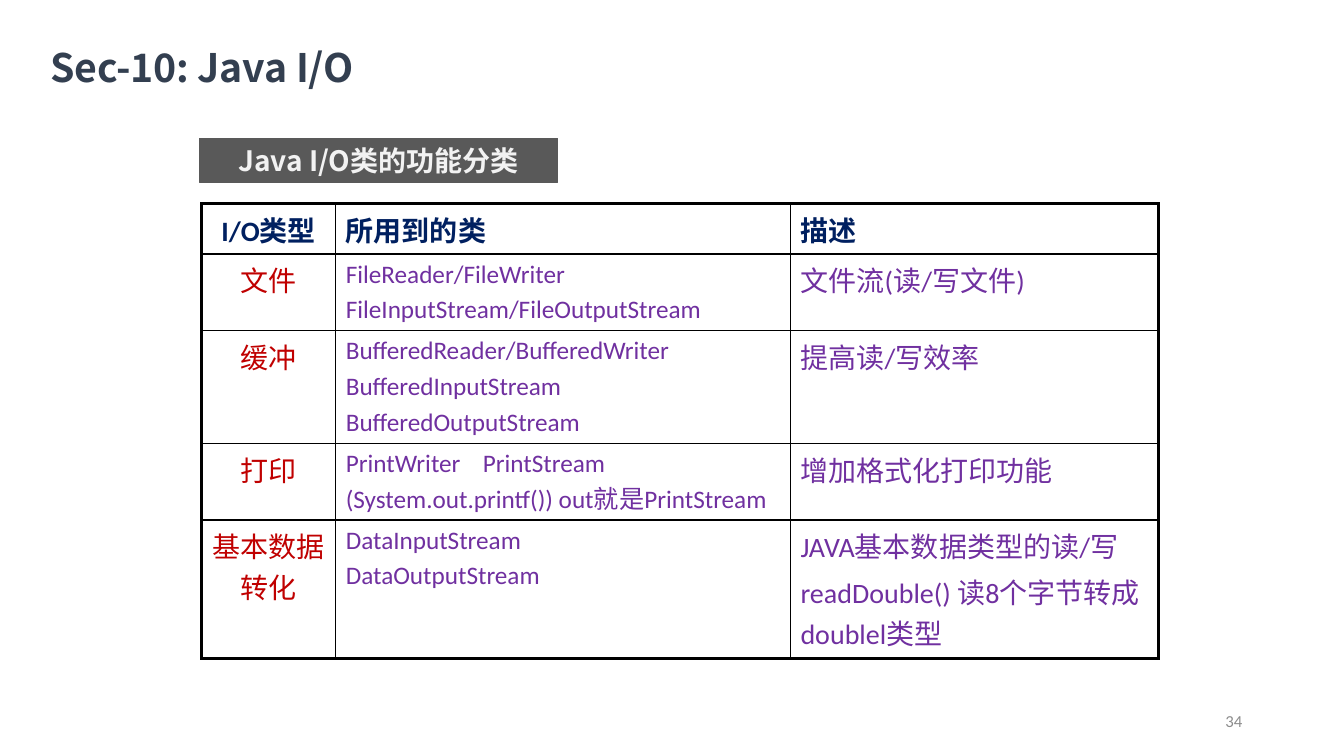
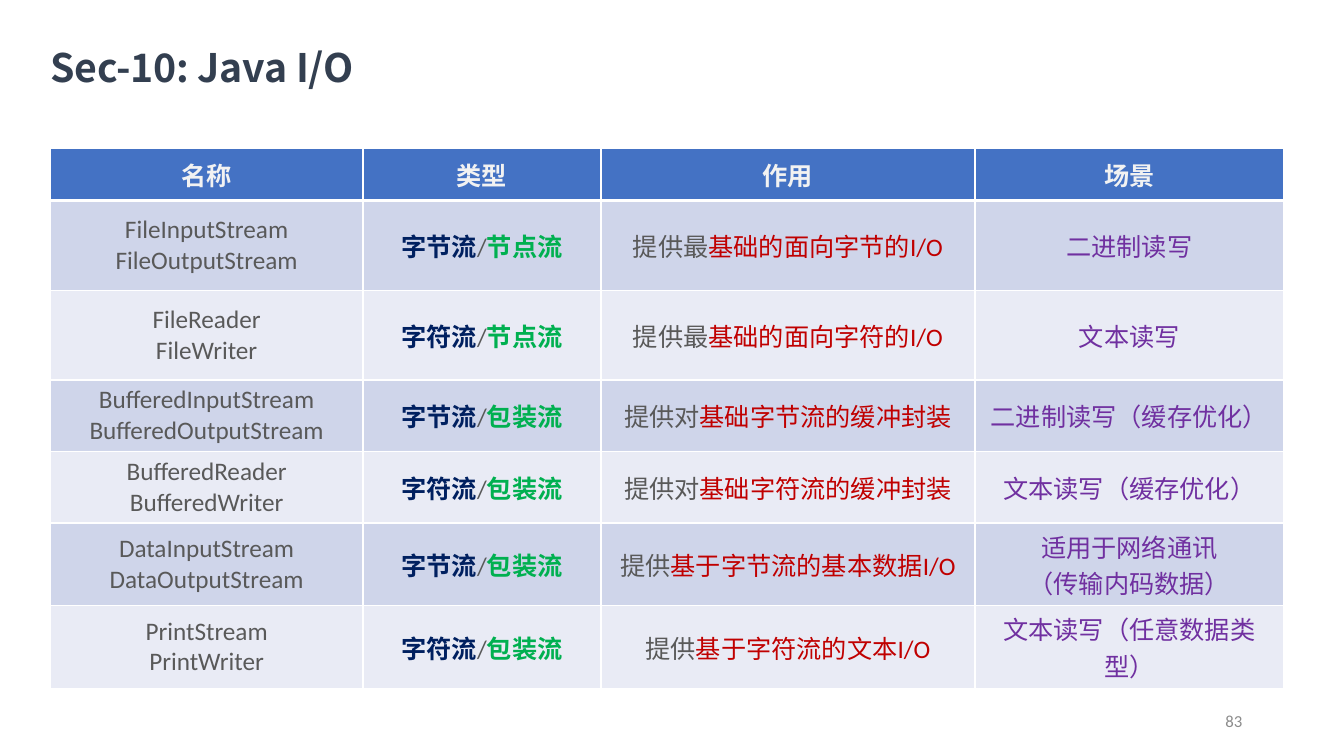
from lxml.etree import SubElement
from pptx import Presentation
from pptx.dml.color import RGBColor
from pptx.enum.shapes import MSO_SHAPE as SHAPE
from pptx.enum.text import MSO_ANCHOR as ANCHOR, MSO_AUTO_SIZE as AUTO, PP_ALIGN as ALIGN
from pptx.oxml.ns import qn
from pptx.util import Inches, Pt

BLACK = RGBColor(0x00, 0x00, 0x00)
WHITE = RGBColor(0xFF, 0xFF, 0xFF)
SLATE = RGBColor(0x33, 0x3F, 0x50)
GRAY = RGBColor(0x59, 0x59, 0x59)
PAGE_GRAY = RGBColor(0x8C, 0x8C, 0x8C)
PALE = RGBColor(0xF2, 0xF2, 0xF2)
NAVY = RGBColor(0x00, 0x20, 0x60)
RED = RGBColor(0xC0, 0x00, 0x00)
PURPLE = RGBColor(0x70, 0x30, 0xA0)
GREEN = RGBColor(0x00, 0xB0, 0x50)
BLUE = RGBColor(0x44, 0x72, 0xC4)
BANDS = (RGBColor(0xE9, 0xEB, 0xF5), RGBColor(0xCF, 0xD5, 0xEA))
BODY, HEADING = "Calibri", "Noto Sans CJK SC"


def add_run(paragraph, text, size, color, bold=False, latin=BODY):
    run = paragraph.add_run()
    run.text = text
    run.font.size, run.font.bold, run.font.name = Pt(size), bold, latin
    run.font.color.rgb = color
    SubElement(run.font._element, qn("a:ea"), typeface=HEADING)
    return run


def format_cell(cell, fill, line, widths):
    """Border widths in points: left, right, top, bottom."""
    props = cell._tc.get_or_add_tcPr()
    for side, width in zip("LRTB", widths):
        border = SubElement(props, qn("a:ln" + side), w=str(Pt(width)))
        SubElement(SubElement(border, qn("a:solidFill")), qn("a:srgbClr"), val=str(line))
    cell.fill.solid()
    cell.fill.fore_color.rgb = fill


prs = Presentation()
prs.slide_width, prs.slide_height = Inches(13.33), Inches(7.5)

# Shared title and page number
slides = []
for page in ("34", "83"):
    slide = prs.slides.add_slide(prs.slide_layouts[5])
    title = slide.shapes.title
    title.left, title.top = Inches(0.5), Inches(0.42)
    title.width, title.height = Inches(6.48), Inches(0.48)
    frame = title.text_frame
    frame.margin_left = frame.margin_right = frame.margin_bottom = 0
    frame.margin_top = Inches(0.01)
    frame.vertical_anchor, frame.auto_size = ANCHOR.TOP, AUTO.NONE
    heading = frame.paragraphs[0]
    heading.alignment = ALIGN.LEFT
    run = add_run(heading, "Sec-10: Java I/O", 28, SLATE, True, HEADING)
    run.font._element.set("spc", "-10")

    number = slide.shapes.add_textbox(Inches(9.42), Inches(6.95), Inches(3), Inches(0.4))
    number.text_frame.word_wrap = True
    number.text_frame.vertical_anchor = ANCHOR.MIDDLE
    number.text_frame.paragraphs[0].alignment = ALIGN.RIGHT
    add_run(number.text_frame.paragraphs[0], page, 12, PAGE_GRAY)
    slides.append(slide)
classes_slide, summary_slide = slides

# Slide 1: banner
banner = classes_slide.shapes.add_shape(
    SHAPE.RECTANGLE, Inches(1.98), Inches(1.37), Inches(3.55), Inches(0.44))
banner.shadow.inherit = False
banner.fill.solid()
banner.fill.fore_color.rgb = GRAY
banner.line.color.rgb = GRAY
banner.line.width = Pt(0.75)
banner.text_frame.word_wrap = True
banner.text_frame.paragraphs[0].alignment = ALIGN.CENTER
add_run(banner.text_frame.paragraphs[0], "Java I/O类的功能分类", 20, PALE, True, HEADING)

# Slide 1: classes by function, each cell a list of paragraphs
class_rows = [
    (["I/O类型"], ["所用到的类"], ["描述"]),
    (["文件"], ["FileReader/FileWriter", "FileInputStream/FileOutputStream"],
     ["文件流(读/写文件)"]),
    (["缓冲"], ["BufferedReader/BufferedWriter", "BufferedInputStream",
              "BufferedOutputStream"], ["提高读/写效率"]),
    (["打印"], ["PrintWriter\tPrintStream (System.out.printf()) out就是PrintStream"],
     ["增加格式化打印功能"]),
    (["基本数据转化"], ["DataInputStream", "DataOutputStream"],
     ["JAVA基本数据类型的读/写", "readDouble() 读8个字节转成doublel类型"]),
]
class_table = classes_slide.shapes.add_table(
    5, 3, Inches(2), Inches(2.02), Inches(9.49), Inches(4.51)).table
class_table.first_row = class_table.horz_banding = False
for column, width in zip(class_table.columns, (1.33, 4.51, 3.65)):
    column.width = Inches(width)
for row, height in zip(class_table.rows, (0.5, 0.76, 1.12, 0.76, 1.37)):
    row.height = Inches(height)

for r, texts in enumerate(class_rows):
    for c, lines in enumerate(texts):
        cell = class_table.cell(r, c)
        outer = (c == 0, c == 2, r == 0, r == 4)
        format_cell(cell, WHITE, BLACK, [2.25 if edge else 1 for edge in outer])
        size = 18 if r and c == 1 else 20
        color = NAVY if r == 0 else RED if c == 0 else PURPLE
        for i, line in enumerate(lines):
            paragraph = cell.text_frame.paragraphs[0] if i == 0 else cell.text_frame.add_paragraph()
            paragraph.alignment = ALIGN.CENTER if c == 0 else ALIGN.LEFT
            if i:
                paragraph.space_before = Pt(size * 0.2)
            if "\t" in line:
                stops = SubElement(paragraph._p.get_or_add_pPr(), qn("a:tabLst"))
                SubElement(stops, qn("a:tab"), pos=str(Inches(1.36)), algn="l")
            add_run(paragraph, line, size, color, bold=r == 0)

# Slide 2: names, unit, layer, plain and stressed role, uses
streams = [
    (["FileInputStream", "FileOutputStream"], "字节流", "节点流",
     "提供最", "基础的面向字节的I/O", ["二进制读写"]),
    (["FileReader", "FileWriter"], "字符流", "节点流",
     "提供最", "基础的面向字符的I/O", ["文本读写"]),
    (["BufferedInputStream", "BufferedOutputStream"], "字节流", "包装流",
     "提供对", "基础字节流的缓冲封装", ["二进制读写（缓存优化）"]),
    (["BufferedReader", "BufferedWriter"], "字符流", "包装流",
     "提供对", "基础字符流的缓冲封装", ["文本读写（缓存优化）"]),
    (["DataInputStream", "DataOutputStream"], "字节流", "包装流",
     "提供", "基于字节流的基本数据I/O", ["适用于网络通讯", "（传输内码数据）"]),
    (["PrintStream", "PrintWriter"], "字符流", "包装流",
     "提供", "基于字符流的文本I/O", ["文本读写（任意数据类型）"]),
]
# Cells hold paragraphs, paragraphs hold (text, colour, bold) runs
summary_rows = [[[[(label, PALE, True)]] for label in ("名称", "类型", "作用", "场景")]]
for names, unit, layer, lead, role, uses in streams:
    summary_rows.append([
        [[(name, GRAY, False)] for name in names],
        [[(unit, NAVY, True), ("/", GRAY, False), (layer, GREEN, True)]],
        [[(lead, GRAY, False), (role, RED, False)]],
        [[(use, PURPLE, False)] for use in uses],
    ])

summary_table = summary_slide.shapes.add_table(
    7, 4, Inches(0.5), Inches(1.47), Inches(12.23), Inches(5.36)).table
for column, width in zip(summary_table.columns, (3.1, 2.36, 3.71, 3.06)):
    column.width = Inches(width)
for row, height in zip(summary_table.rows, (0.52, 0.89, 0.89, 0.71, 0.71, 0.82, 0.82)):
    row.height = Inches(height)

for r, cells in enumerate(summary_rows):
    for c, lines in enumerate(cells):
        cell = summary_table.cell(r, c)
        top, bottom = 3 if r == 1 else 1, 3 if r == 0 else 1
        format_cell(cell, BANDS[r % 2] if r else BLUE, WHITE, (1, 1, top, bottom))
        cell.vertical_anchor = ANCHOR.MIDDLE
        for i, runs in enumerate(lines):
            paragraph = cell.text_frame.paragraphs[0] if i == 0 else cell.text_frame.add_paragraph()
            paragraph.alignment = ALIGN.CENTER
            for text, color, bold in runs:
                add_run(paragraph, text, 18, color, bold)

prs.save("out.pptx")
